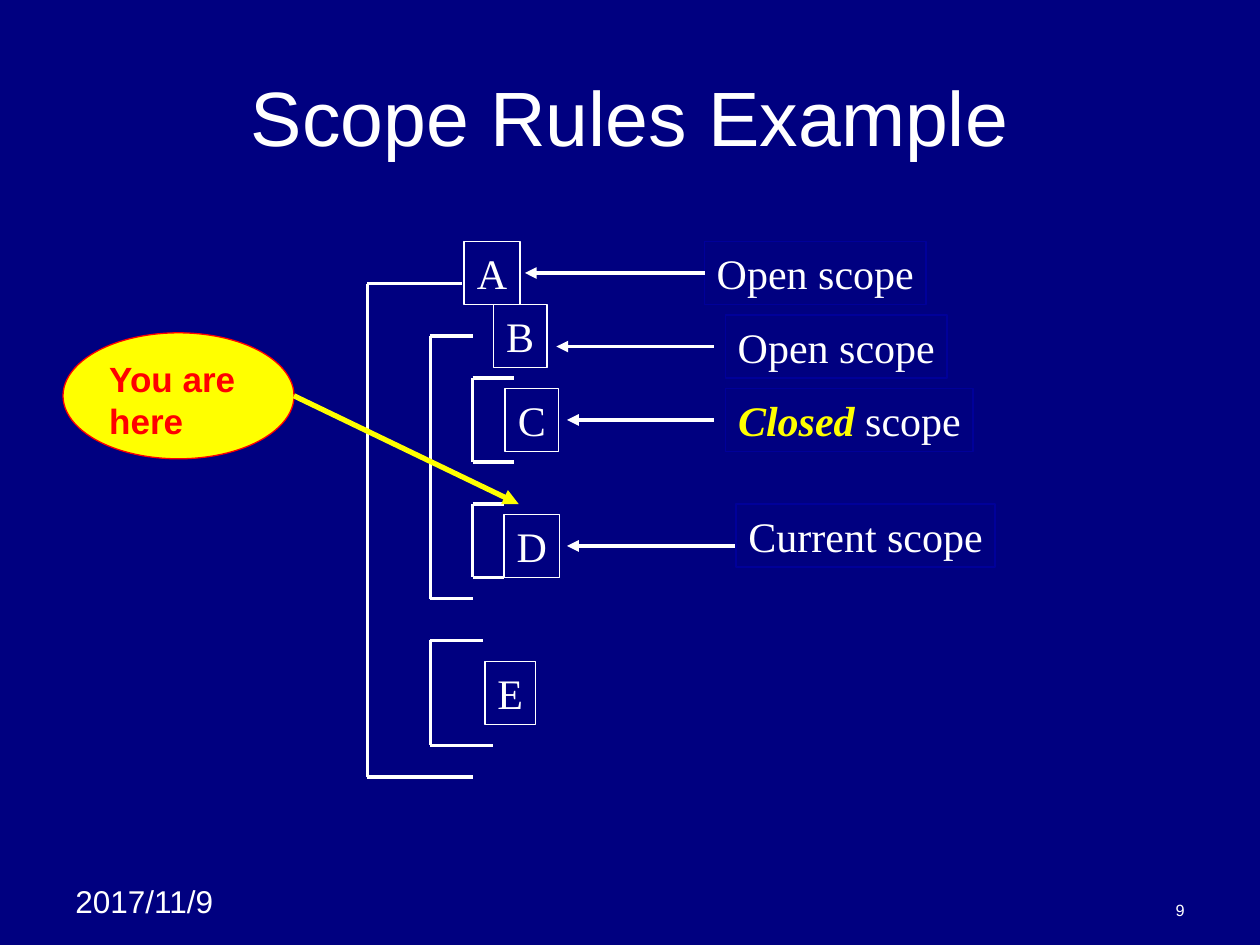
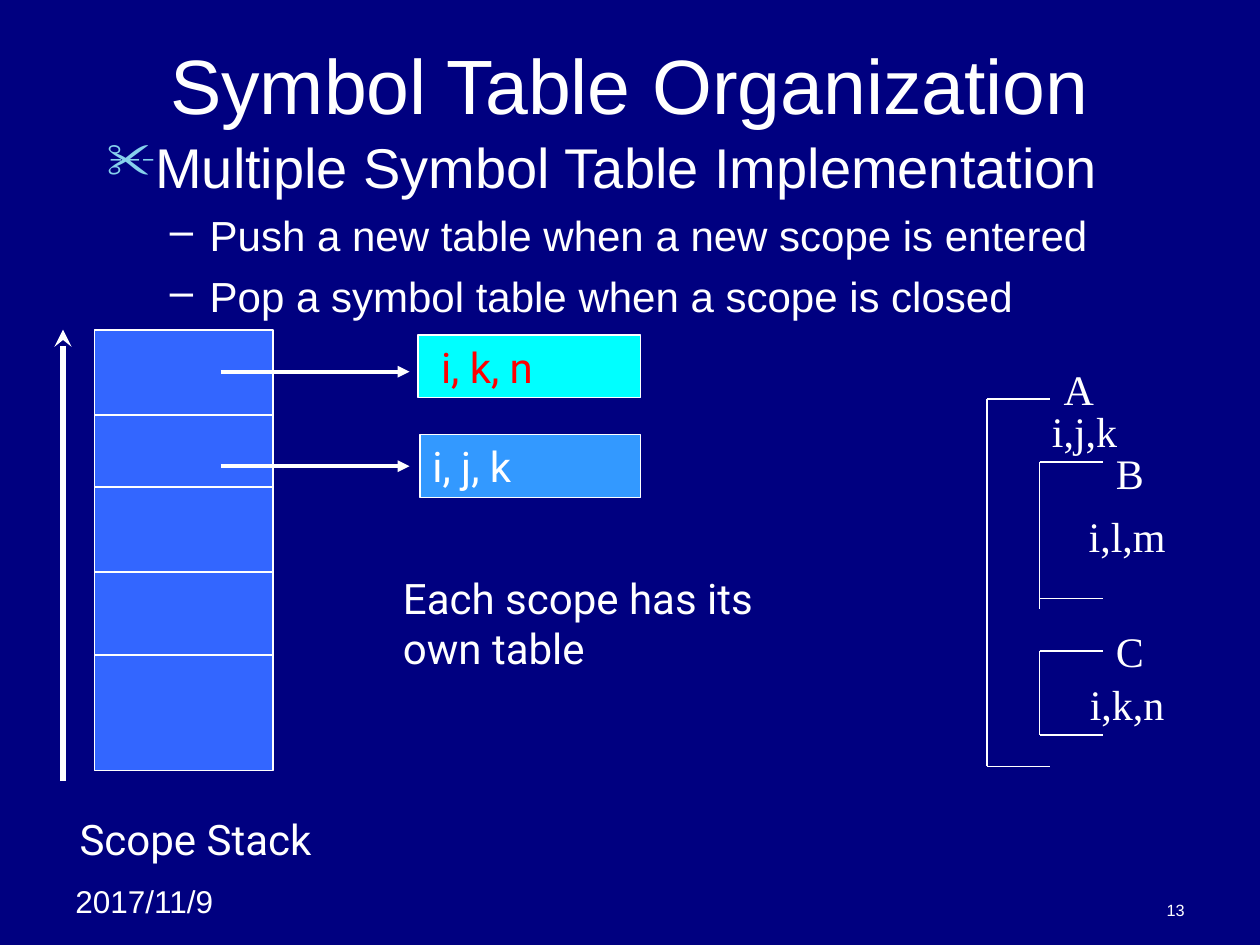
"""Build two slides on scope rules and symbol table organization."""
from dataclasses import dataclass
from lxml.etree import SubElement
from pptx import Presentation
from pptx.dml.color import RGBColor as RGB
from pptx.enum.shapes import MSO_CONNECTOR as CONN, MSO_SHAPE as SHAPE
from pptx.enum.text import MSO_ANCHOR as ANCHOR, PP_ALIGN as ALIGN
from pptx.oxml.ns import qn
from pptx.util import Pt


@dataclass(frozen=True)
class Theme:
    navy: str = "000080"
    white: str = "FFFFFF"
    yellow: str = "FFFF00"
    red: str = "FF0000"
    label_edge: str = "000099"
    stack: str = "3366FF"
    cyan: str = "00FFFF"
    sky: str = "3399FF"
    bullet: str = "86D1EC"
    sans: str = "Arial"
    serif: str = "Times New Roman"
    round: str = "Roboto"
    title: int = 44
    heading: int = 32
    text: int = 24
    callout: int = 20
    date: int = 18
    number: float = 9.3


T = Theme()
PX = 7620


def add_text(slide, box, paras, font=T.sans, size=T.text, color=T.white, bold=False,
             align=ALIGN.LEFT, anchor=ANCHOR.TOP, wrap=True, shape=None,
             fill=None, edge=None, edge_width=1, inset=12):
    """Add a text box or shape whose paragraphs are strings or lists of (text, color, emphasis)."""
    box = [v * PX for v in box]
    if shape is None:
        sp = slide.shapes.add_textbox(*box)
    else:
        sp = slide.shapes.add_shape(shape, *box)
        sp.shadow.inherit = False
        if fill:
            sp.fill.solid()
            sp.fill.fore_color.rgb = RGB.from_string(fill)
        else:
            sp.fill.background()
        sp.line.color.rgb = RGB.from_string(edge)
        sp.line.width = Pt(edge_width)
    tf = sp.text_frame
    tf.word_wrap, tf.vertical_anchor = wrap, anchor
    tf.margin_left = inset * PX
    for i, runs in enumerate(paras):
        p = tf.add_paragraph() if i else tf.paragraphs[0]
        p.alignment = align
        for words, tint, strong in [(runs, color, False)] if isinstance(runs, str) else runs:
            r = p.add_run()
            r.text = words
            r.font.name, r.font.size = font, Pt(size)
            r.font.bold, r.font.italic = bold or strong, strong
            r.font.color.rgb = RGB.from_string(tint)
    return sp


def add_line(slide, x1, y1, x2, y2, width=2.25, color=T.white, head=None):
    """Add a straight line, with an optional arrowhead at its end."""
    c = slide.shapes.add_connector(CONN.STRAIGHT, x1 * PX, y1 * PX, x2 * PX, y2 * PX)
    c.line.color.rgb = RGB.from_string(color)
    c.line.width = Pt(width)
    sppr = c._element.spPr
    if head:
        SubElement(sppr.find(qn("a:ln")), qn("a:tailEnd"), type=head)
    SubElement(sppr, qn("a:effectLst"))
    return c


prs = Presentation()
prs.slide_width, prs.slide_height = 1200 * PX, 900 * PX

slides = []
for title, top, number in [("Scope Rules Example", 60, "9"),
                           ("Symbol Table Organization", 30, "13")]:
    s = prs.slides.add_slide(prs.slide_layouts[6])
    s.background.fill.solid()
    s.background.fill.fore_color.rgb = RGB.from_string(T.navy)
    add_text(s, (60, 834, 190, 48), ["2017/11/9"], size=T.date)
    add_text(s, (860, 850, 280, 32), [number], size=T.number,
             align=ALIGN.RIGHT, anchor=ANCHOR.BOTTOM)
    add_text(s, (90, top, 1020, 100), [title], size=T.title,
             align=ALIGN.CENTER, anchor=ANCHOR.MIDDLE)
    slides.append(s)
scopes, tables = slides

brackets = [
    (scopes, 2.25, 350, 270, 740, 440, 450, 740),
    (scopes, 2.25, 410, 320, 570, 450, 450, 570),
    (scopes, 2.25, 450, 360, 440, 490, 490, 440),
    (scopes, 2.25, 450, 480, 550, 480, 480, 550),
    (scopes, 2.25, 410, 610, 710, 460, 470, 710),
    (tables, 1, 940, 380, 730, 1000, 1000, 730),
    (tables, 1, 990, 440, 570, 1050, 1050, 580),
    (tables, 1, 990, 620, 700, 1050, 1050, 700),
]
for s, width, x, top, bottom, top_end, bottom_end, spine_end in brackets:
    add_line(s, x, top, x, spine_end, width)
    add_line(s, x, top, top_end, top, width)
    add_line(s, x, bottom, bottom_end, bottom, width)

for name, x, y, w in [("A", 442, 230, 53), ("B", 470, 290, 51), ("C", 481, 370, 51),
                      ("D", 480, 490, 53), ("E", 462, 630, 48)]:
    add_text(scopes, (x, y, w, 60), [name], T.serif, align=ALIGN.CENTER, wrap=False,
             shape=SHAPE.RECTANGLE, edge=T.white)

closed = [("Closed", T.yellow, True), (" scope", T.white, False)]
for words, x, y, w, start, end, arrow_y in [
        ("Open scope", 671, 230, 211, 671, 500, 260),
        ("Open scope", 691, 300, 211, 680, 530, 330),
        (closed, 691, 370, 236, 680, 540, 400),
        ("Current scope", 701, 480, 247, 700, 540, 520)]:
    label = add_text(scopes, (x, y, w, 60), [words], T.serif, align=ALIGN.CENTER, wrap=False,
                     shape=SHAPE.RECTANGLE, edge=T.label_edge)
    arrow = add_line(scopes, start, arrow_y, end, arrow_y, head="triangle")
    if (start, arrow_y) == (x, y + 30):
        arrow.begin_connect(label, 1)

add_text(scopes, (60, 317, 220, 120), ["You are here"], size=T.callout, color=T.red, bold=True,
         shape=SHAPE.OVAL, fill=T.yellow, edge=T.red, edge_width=0.75)
add_line(scopes, 280, 377, 494, 480, 3, T.yellow, "triangle")

for words, x, y, w in [("A", 1001, 340, 53), ("B", 1051, 420, 50), ("C", 1051, 590, 50),
                       ("i,j,k", 990, 380, 86), ("i,l,m", 1025, 480, 97),
                       ("i,k,n", 1026, 640, 95)]:
    add_text(tables, (x, y, w, 60), [words], T.serif, align=ALIGN.CENTER, wrap=False)

add_text(tables, (90, 314, 170, 420), [], shape=SHAPE.RECTANGLE, fill=T.stack, edge=T.white)
for y in (395, 464, 545, 624):
    add_line(tables, 90, y, 260, y, 1)

body = add_text(tables, (90, 120, 1020, 690), [
    "Multiple Symbol Table Implementation",
    "Push a new table when a new scope is entered",
    "Pop a symbol table when a scope is closed"])
for level, p in zip((0, 1, 1), body.text_frame.paragraphs):
    margin, hang, mark, color, scale, size = [
        (45, 45, "✂", T.bullet, 90, T.heading),
        (98, 38, "–", T.white, 100, T.text)][level]
    p.level = level
    p.space_before = Pt(6 * level)
    p.runs[0].font.size = Pt(size)
    ppr = p._p.get_or_add_pPr()
    ppr.set("marL", str(margin * PX))
    ppr.set("indent", str(-hang * PX))
    SubElement(SubElement(ppr, qn("a:buClr")), qn("a:srgbClr"), val=color)
    SubElement(ppr, qn("a:buSzPct"), val=str(scale * 1000))
    SubElement(ppr, qn("a:buChar"), char=mark)

add_line(tables, 60, 744, 60, 314, 3.25, head="stealth")
for words, x, y, w, fill, color, inset, arrow_y in [
        ("i, k, n", 398, 319, 212, T.cyan, T.red, 22, 354),
        ("i, j, k", 400, 414, 210, T.sky, T.white, 12, 444)]:
    add_text(tables, (x, y, w, 60), [words], T.round, color=color, inset=inset,
             shape=SHAPE.RECTANGLE, fill=fill, edge=T.white, edge_width=0.75)
    add_line(tables, 210, arrow_y, 390, arrow_y, head="triangle")

add_text(tables, (64, 769, 250, 60), ["Scope Stack"], T.round)
add_text(tables, (372, 539, 374, 108), ["Each scope has its", "own table"], T.round)

prs.save("out.pptx")
